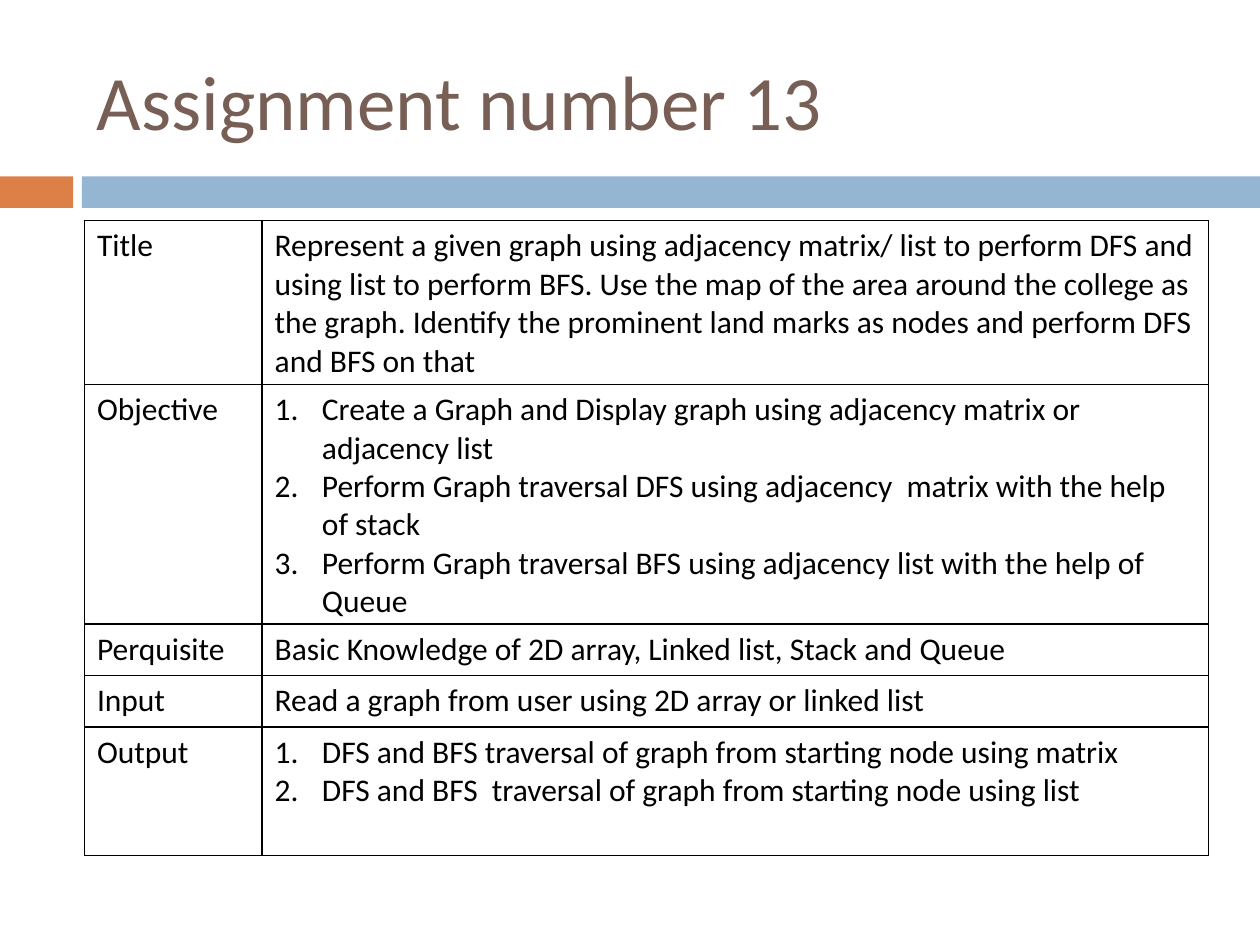
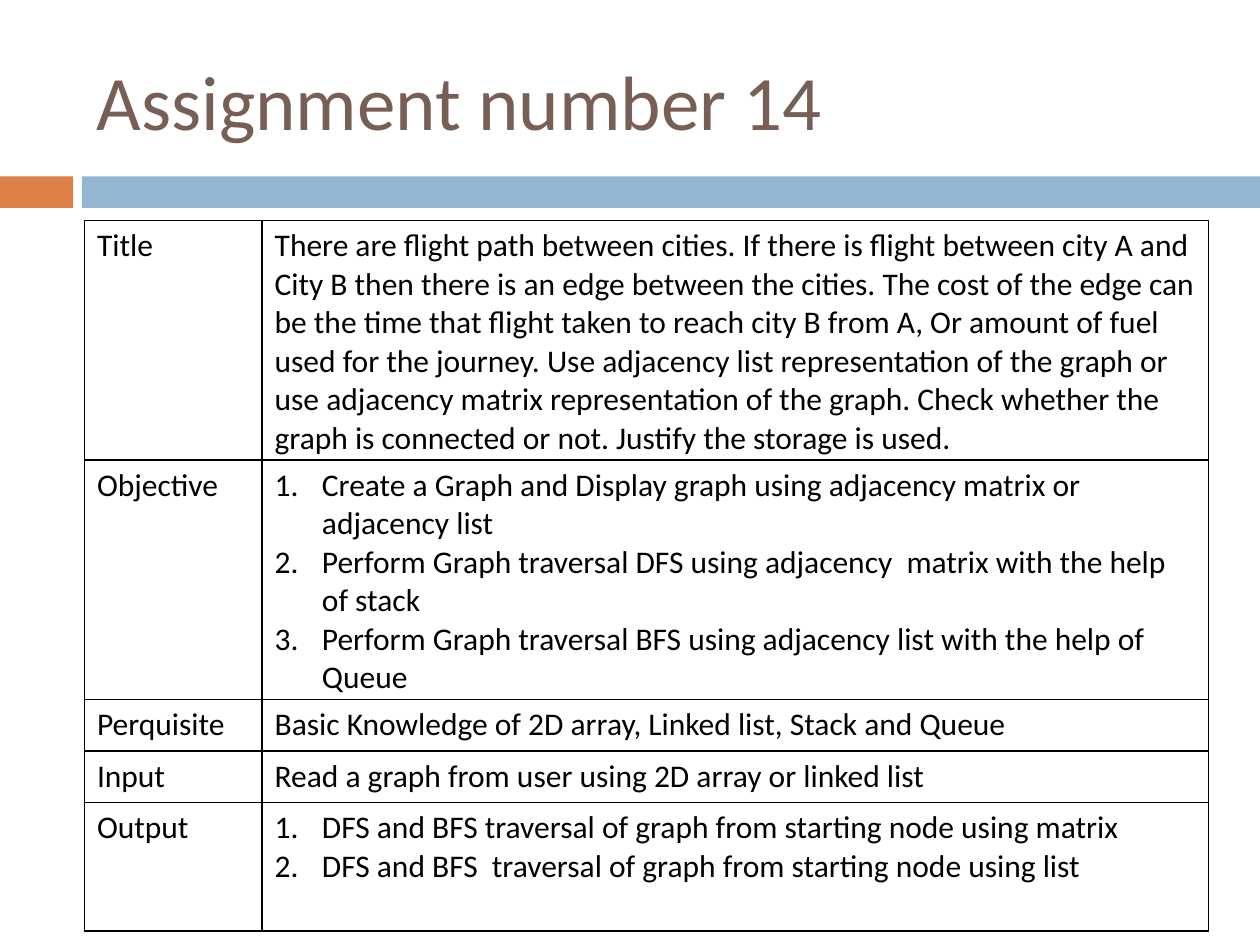
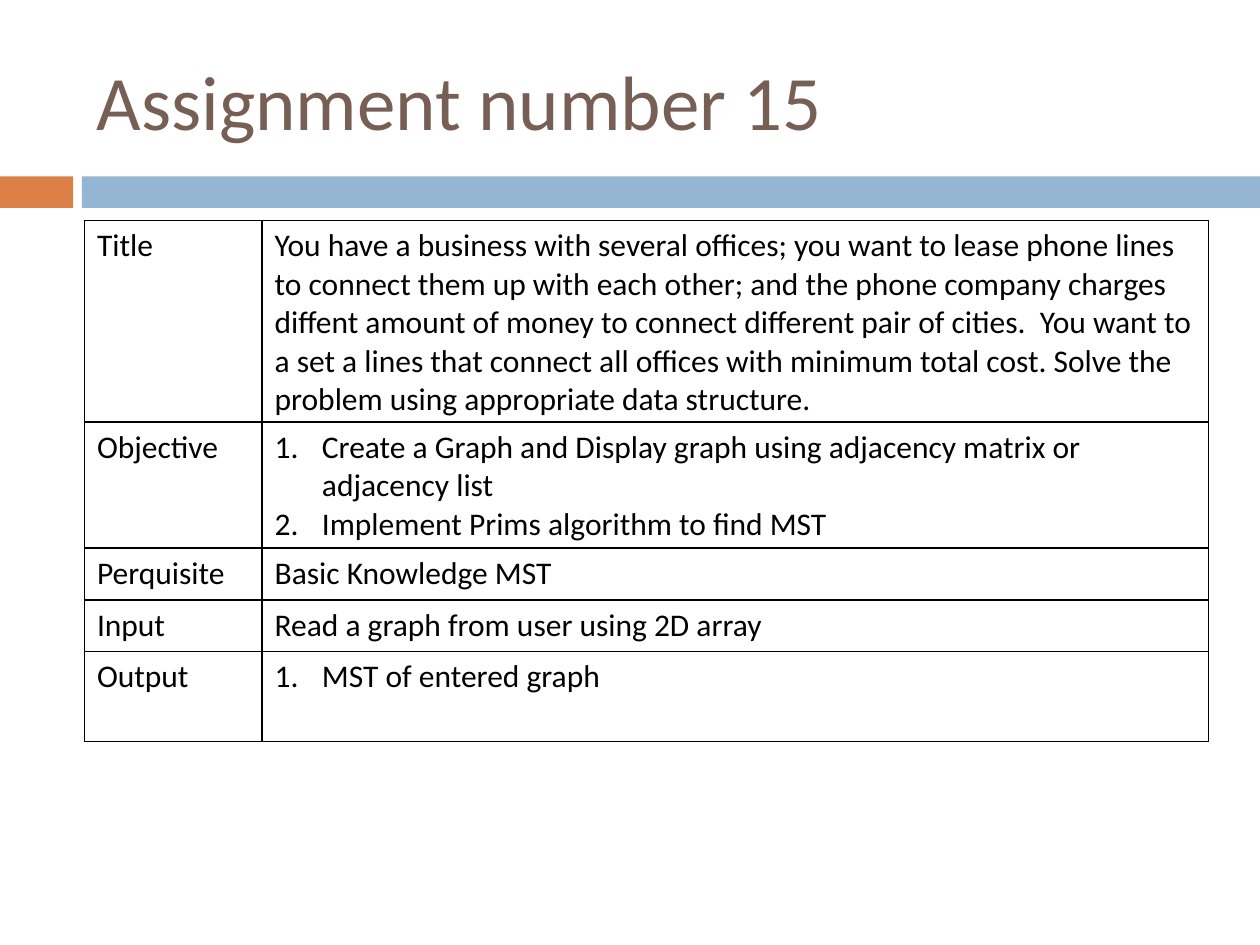
from pptx import Presentation
from pptx.dml.color import RGBColor
from pptx.enum.shapes import MSO_SHAPE
from pptx.enum.text import MSO_ANCHOR
from pptx.oxml.ns import qn
from pptx.util import Inches, Pt
from lxml.etree import SubElement

COLORS = {"title": "775F55", "accent": "DD8047", "band": "94B6D2", "text": "000000"}
TITLE_FORMAT = {"name": "Calibri", "size": Pt(44)}
CELL_FORMAT = {"name": "Calibri", "size": Pt(18)}
LEFT = 0.67
COLUMN_WIDTHS = (1.41, 7.51)
ROW_HEIGHT = 0.41
LINE_HEIGHT = 0.305
NUMBER_INDENT = Inches(0.375)
LABELS = ("Title", "Objective", "Perquisite", "Input", "Output")

CREATE_GRAPH = "Create a Graph and Display graph using adjacency matrix or adjacency list"
TRAVERSAL_ROWS = (
    [
        CREATE_GRAPH,
        "Perform Graph traversal DFS using adjacency  matrix with the help of stack",
        "Perform Graph traversal BFS using adjacency list with the help of Queue",
    ],
    "Basic Knowledge of 2D array, Linked list, Stack and Queue",
    "Read a graph from user using 2D array or linked list",
    [
        "DFS and BFS traversal of graph from starting node using matrix",
        "DFS and BFS  traversal of graph from starting node using list",
    ],
)
SPANNING_TREE_ROWS = (
    [CREATE_GRAPH, "Implement Prims algorithm to find MST"],
    "Basic Knowledge MST",
    "Read a graph from user using 2D array",
    ["MST of entered graph"],
)
ASSIGNMENTS = {
    13: (
        "Represent a given graph using adjacency matrix/ list to perform DFS and using list "
        "to perform BFS. Use the map of the area around the college as the graph. Identify "
        "the prominent land marks as nodes and perform DFS and BFS on that",
        *TRAVERSAL_ROWS,
    ),
    14: (
        "There are flight path between cities. If there is flight between city A and City B "
        "then there is an edge between the cities. The cost of the edge can be the time that "
        "flight taken to reach city B from A, Or amount of fuel used for the journey. Use "
        "adjacency list representation of the graph or use adjacency matrix representation "
        "of the graph. Check whether the graph is connected or not. Justify the storage is used.",
        *TRAVERSAL_ROWS,
    ),
    15: (
        "You have a business with several offices; you want to lease phone lines to connect "
        "them up with each other; and the phone company charges diffent amount of money to "
        "connect different pair of cities.  You want to a set a lines that connect all offices "
        "with minimum total cost. Solve the problem using appropriate data structure.",
        *SPANNING_TREE_ROWS,
    ),
}


def rgb(value):
    """Turn a hex string into a colour."""
    return RGBColor.from_string(value)


def write(paragraph, text, formats, color):
    """Add one formatted run to a paragraph."""
    run = paragraph.add_run()
    run.text = text
    for name, value in formats.items():
        setattr(run.font, name, value)
    run.font.color.rgb = rgb(color)


def add_band(slide, left, width, color):
    """Draw one part of the band below the title."""
    shape = slide.shapes.add_shape(
        MSO_SHAPE.RECTANGLE, Inches(left), Inches(1.4), Inches(width), Inches(0.25)
    )
    shape.shadow.inherit = False
    shape.fill.solid()
    shape.fill.fore_color.rgb = rgb(color)
    shape.line.fill.background()


def add_title(slide, text):
    """Place the slide title."""
    box = slide.shapes.add_textbox(
        Inches(LEFT), Inches(0.25), Inches(sum(COLUMN_WIDTHS)), Inches(1.08)
    )
    frame = box.text_frame
    frame.word_wrap = True
    frame.vertical_anchor = MSO_ANCHOR.MIDDLE
    write(frame.paragraphs[0], text, TITLE_FORMAT, COLORS["title"])


def number_paragraph(paragraph):
    """Give a paragraph an automatic number and a hanging indent."""
    properties = paragraph._p.get_or_add_pPr()
    properties.set("marL", str(NUMBER_INDENT))
    properties.set("indent", str(-NUMBER_INDENT))
    SubElement(properties, qn("a:buFont"), typeface="+mj-lt")
    SubElement(properties, qn("a:buAutoNum"), type="arabicPeriod")


def style_cell(cell):
    """Outline a cell in black and leave it unfilled."""
    properties = cell._tc.get_or_add_tcPr()
    for side in ("lnL", "lnR", "lnT", "lnB"):
        line = SubElement(properties, qn(f"a:{side}"), w=str(Pt(1)))
        fill = SubElement(line, qn("a:solidFill"))
        SubElement(fill, qn("a:srgbClr"), val=COLORS["text"])
    cell.fill.background()


def fill_cell(cell, content):
    """Write plain text, or a list as numbered paragraphs, into a cell."""
    style_cell(cell)
    numbered = isinstance(content, list)
    frame = cell.text_frame
    for index, text in enumerate(content if numbered else [content]):
        paragraph = frame.add_paragraph() if index else frame.paragraphs[0]
        if numbered:
            number_paragraph(paragraph)
        write(paragraph, text, CELL_FORMAT, COLORS["text"])


def add_assignment_table(slide, contents):
    """Build the table of labels and contents, with a spare line in the last row."""
    table = slide.shapes.add_table(
        len(LABELS), len(COLUMN_WIDTHS), Inches(LEFT), Inches(1.75),
        Inches(sum(COLUMN_WIDTHS)), Inches(ROW_HEIGHT * len(LABELS)),
    ).table
    table.first_row = table.horz_banding = False
    for column, width in zip(table.columns, COLUMN_WIDTHS):
        column.width = Inches(width)
    for index, row in enumerate(zip(LABELS, contents)):
        for cell, content in zip(table.rows[index].cells, row):
            fill_cell(cell, content)
    output_lines = len(contents[-1])
    table.rows[len(LABELS) - 1].height = Inches(ROW_HEIGHT + LINE_HEIGHT * output_lines)


def add_assignment(presentation, number, contents):
    """Add the slide of one assignment."""
    slide = presentation.slides.add_slide(presentation.slide_layouts[6])
    add_band(slide, 0, 0.58, COLORS["accent"])
    add_band(slide, 0.65, 9.35, COLORS["band"])
    add_title(slide, f"Assignment number {number}")
    add_assignment_table(slide, contents)


def main():
    """Build and save the presentation."""
    presentation = Presentation()
    presentation.slide_width = Inches(10)
    presentation.slide_height = Inches(7.5)
    for number, contents in ASSIGNMENTS.items():
        add_assignment(presentation, number, contents)
    presentation.save("out.pptx")


if __name__ == "__main__":
    main()
